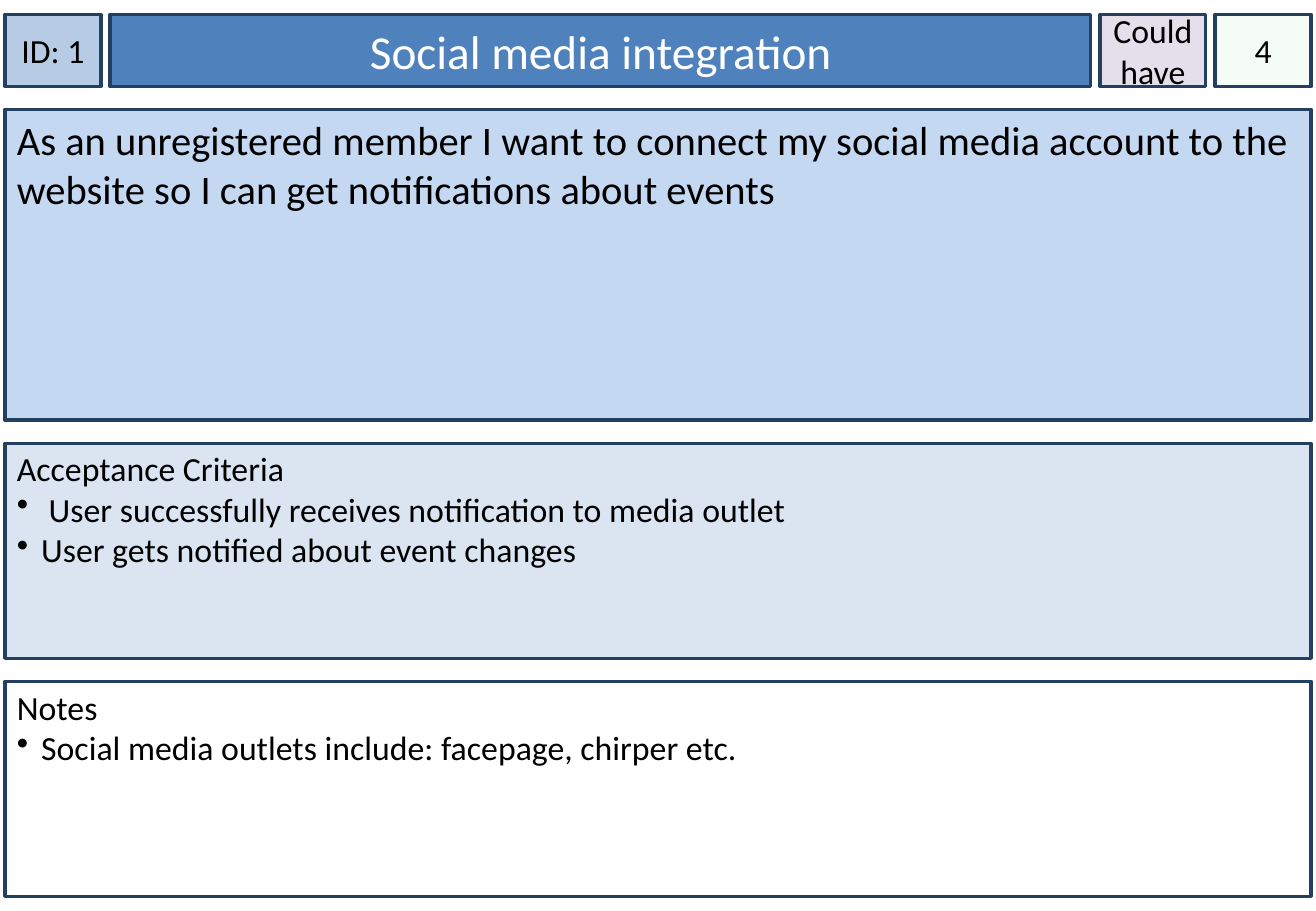
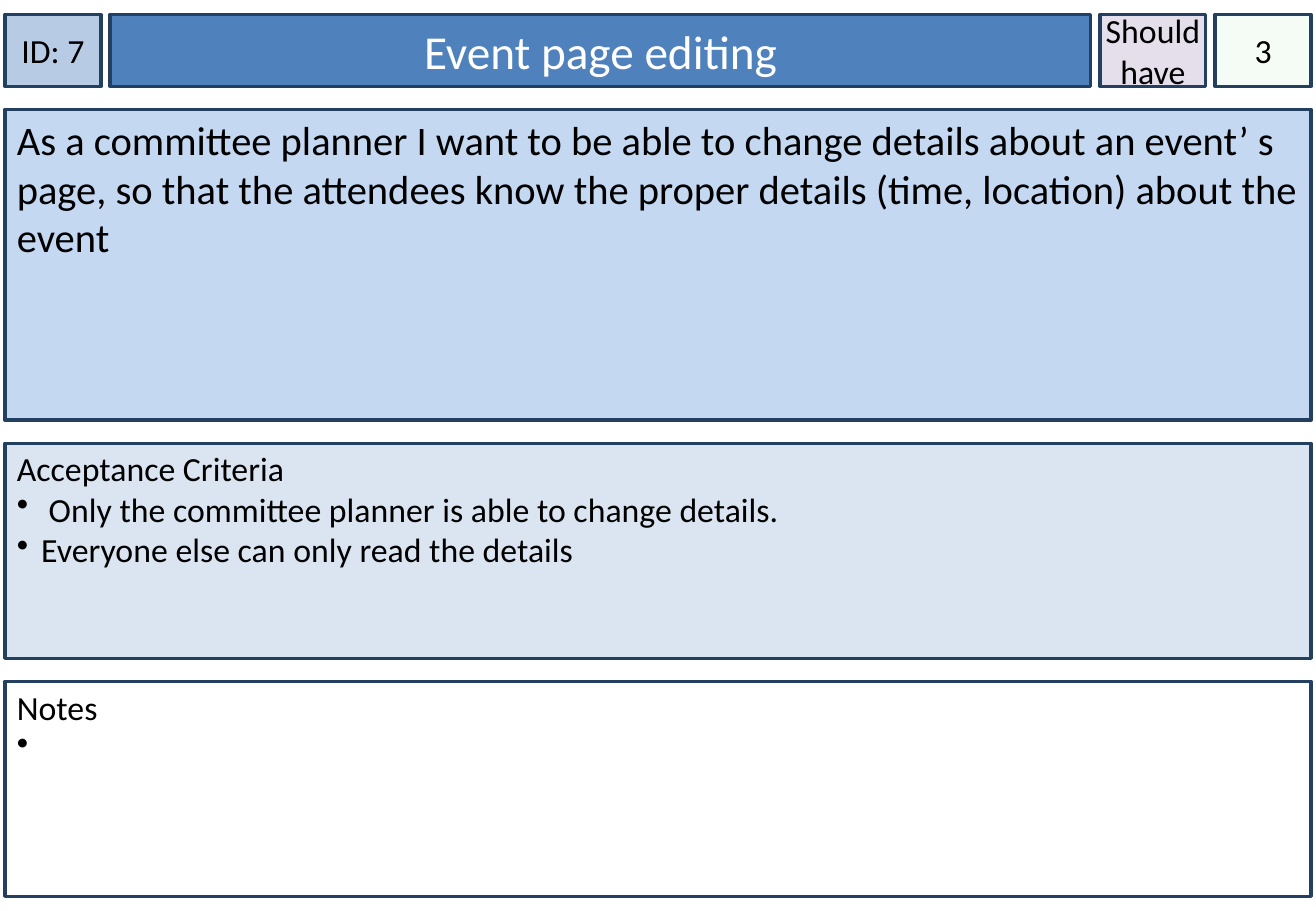
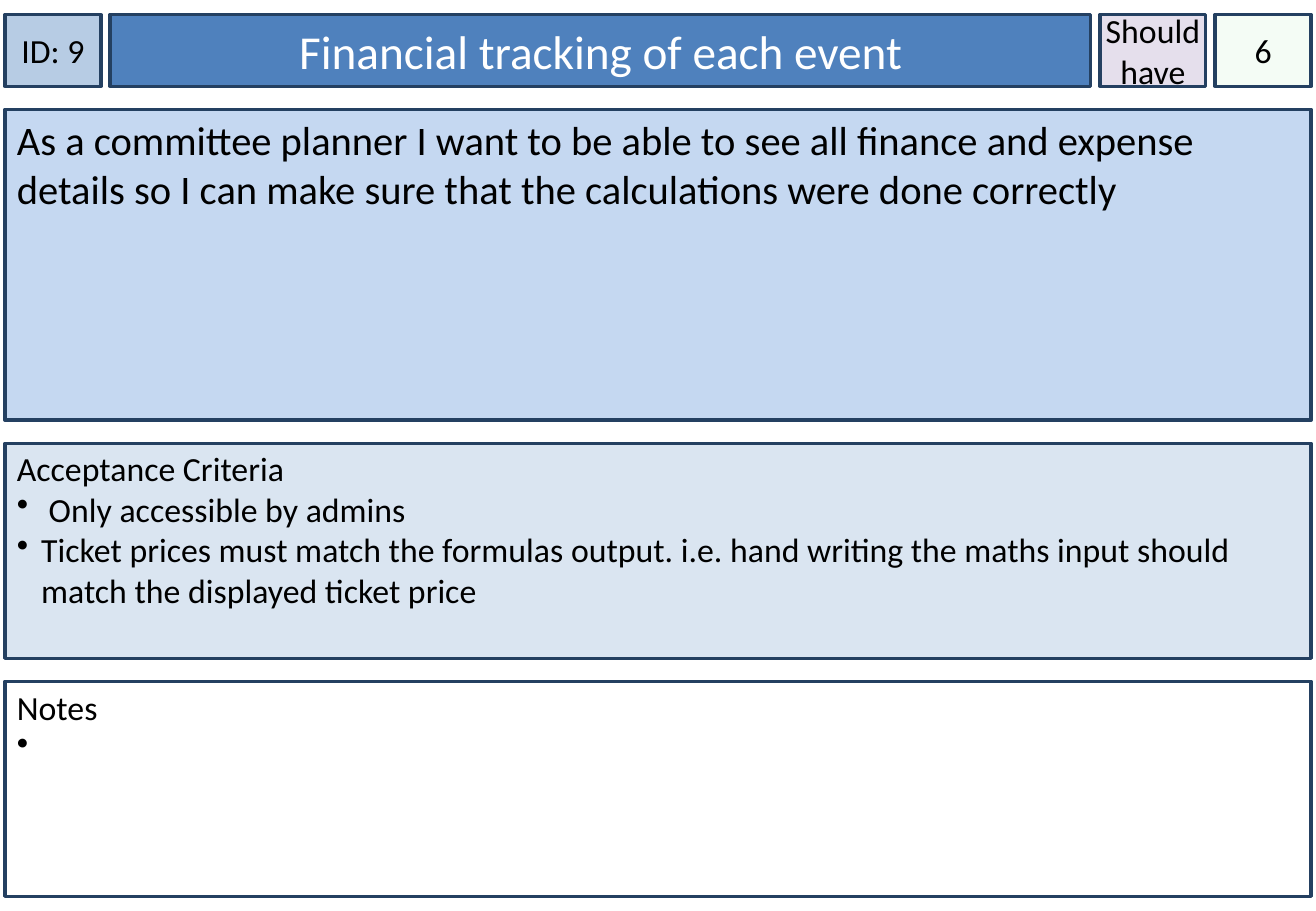
from itertools import accumulate

from lxml.etree import SubElement
from pptx import Presentation
from pptx.dml.color import RGBColor
from pptx.enum.shapes import MSO_SHAPE
from pptx.enum.text import MSO_ANCHOR, PP_ALIGN
from pptx.oxml.ns import qn
from pptx.util import Inches, Pt

# Shared colours
BLACK = RGBColor(0x00, 0x00, 0x00)
WHITE = RGBColor(0xFF, 0xFF, 0xFF)
NAVY = RGBColor(0x24, 0x40, 0x61)
BLUE = RGBColor(0x4F, 0x81, 0xBD)
ID_BLUE = RGBColor(0xB7, 0xCC, 0xE4)
STORY_BLUE = RGBColor(0xC5, 0xD8, 0xF1)
PALE_BLUE = RGBColor(0xDA, 0xE5, 0xF1)
LILAC = RGBColor(0xE5, 0xDF, 0xEC)
GREEN = RGBColor(0xCC, 0xF0, 0xCD)

# Card grid, in inches
FONT = "Calibri"
SLIDE_W, SLIDE_H = 10.83, 7.5
MARGIN_X, MARGIN_Y = 0.04, 0.12
ROWS = (0.59, 2.56, 1.77, 1.77)   # header, story, criteria, notes
COLS = (0.79, 8.07, 0.87, 0.79)   # ID, title, priority, estimate
INDENT = 0.2

# Formats of the text in each kind of box
BADGE = dict(size=20, color=BLACK, align=PP_ALIGN.CENTER,
             frame=dict(vertical_anchor=MSO_ANCHOR.MIDDLE, margin_left=0, margin_right=0))
TITLE = dict(size=28, color=WHITE, align=PP_ALIGN.CENTER,
             frame=dict(vertical_anchor=MSO_ANCHOR.MIDDLE))
STORY = dict(size=24, color=BLACK, align=PP_ALIGN.LEFT,
             frame=dict(vertical_anchor=MSO_ANCHOR.TOP))
LIST = dict(size=20, color=BLACK, align=PP_ALIGN.LEFT,
            frame=dict(vertical_anchor=MSO_ANCHOR.TOP, margin_top=Inches(0.04)))

CARDS = [
    dict(id=1, title="Social media integration", priority="Could have", estimate=4,
         story="As an unregistered member I want to connect my social media account "
               "to the website so I can get notifications about events",
         criteria=[" User successfully receives notification to media outlet",
                   "User gets notified about event changes"],
         notes=["Social media outlets include: facepage, chirper etc."]),
    dict(id=7, title="Event page editing", priority="Should have", estimate=3,
         story="As a committee planner I want to be able to change details about an "
               "event’ s page, so that the attendees know the proper details "
               "(time, location) about the event",
         criteria=[" Only the committee planner is able to change details.",
                   "Everyone else can only read the details"],
         notes=[" "]),
    dict(id=9, title="Financial tracking of each event", priority="Should have", estimate=6,
         story="As a committee planner I want to be able to see all finance and expense "
               "details so I can make sure that the calculations were done correctly",
         criteria=[" Only accessible by admins",
                   "Ticket prices must match the formulas output. i.e. hand writing the "
                   "maths input should match the displayed ticket price"],
         notes=[" "]),
]


def spread(sizes, start, total):
    """Place sizes along a length with equal gaps; return (start, size) pairs."""
    gap = (total - sum(sizes)) / (len(sizes) - 1)
    starts = accumulate((size + gap for size in sizes[:-1]), initial=start)
    return list(zip(starts, sizes))


def add_bullet(p):
    pPr = p._p.get_or_add_pPr()
    pPr.set("marL", str(Inches(INDENT)))
    pPr.set("indent", str(-Inches(INDENT)))
    color = SubElement(pPr, qn("a:buClr"))
    SubElement(color, qn("a:srgbClr"), val=str(BLACK))
    SubElement(pPr, qn("a:buChar"), char="•")


def add_box(slide, box, fill, fmt, text, bullets=(), opacity=None):
    """Outlined box with a first line of text and optional bullets."""
    sp = slide.shapes.add_shape(MSO_SHAPE.RECTANGLE, *(Inches(v) for v in box))
    sp.shadow.inherit = False
    sp.fill.solid()
    sp.fill.fore_color.rgb = fill
    if opacity is not None:
        color = sp._element.spPr.find(qn("a:solidFill")).find(qn("a:srgbClr"))
        SubElement(color, qn("a:alpha"), val=str(opacity * 1000))
    sp.line.color.rgb = NAVY
    sp.line.width = Pt(2)

    tf = sp.text_frame
    tf.word_wrap = True
    for name, value in fmt["frame"].items():
        setattr(tf, name, value)
    font = dict(name=FONT, size=Pt(fmt["size"]))
    for i, line in enumerate([text, *bullets]):
        p = tf.add_paragraph() if i else tf.paragraphs[0]
        p.alignment = fmt["align"]
        if i:
            add_bullet(p)
        r = p.add_run()
        r.text = line
        for name, value in font.items():
            setattr(r.font, name, value)
        r.font.color.rgb = fmt["color"]


def add_header(slide, box, card):
    """ID, title, priority and estimate side by side."""
    left, top, width, height = box
    cells = (
        (ID_BLUE, BADGE, f"ID: {card['id']}", None),
        (BLUE, TITLE, card["title"], None),
        (LILAC, BADGE, card["priority"], None),
        (GREEN, BADGE, str(card["estimate"]), 20),
    )
    for (x, w), (fill, fmt, text, opacity) in zip(spread(COLS, left, width), cells):
        add_box(slide, (x, top, w, height), fill, fmt, text, opacity=opacity)


def add_card(slide, box, card):
    """A user story card: header, story, criteria and notes in rows."""
    left, top, width, height = box
    header, story, criteria, notes = (
        (left, y, width, h) for y, h in spread(ROWS, top, height))
    add_header(slide, header, card)
    add_box(slide, story, STORY_BLUE, STORY, card["story"])
    add_box(slide, criteria, PALE_BLUE, LIST, "Acceptance Criteria", card["criteria"])
    add_box(slide, notes, WHITE, LIST, "Notes", card["notes"])


def main():
    prs = Presentation()
    prs.slide_width, prs.slide_height = Inches(SLIDE_W), Inches(SLIDE_H)
    box = (MARGIN_X, MARGIN_Y, SLIDE_W - 2 * MARGIN_X, SLIDE_H - 2 * MARGIN_Y)
    for card in CARDS:
        add_card(prs.slides.add_slide(prs.slide_layouts[6]), box, card)
    prs.save("out.pptx")


if __name__ == "__main__":
    main()
